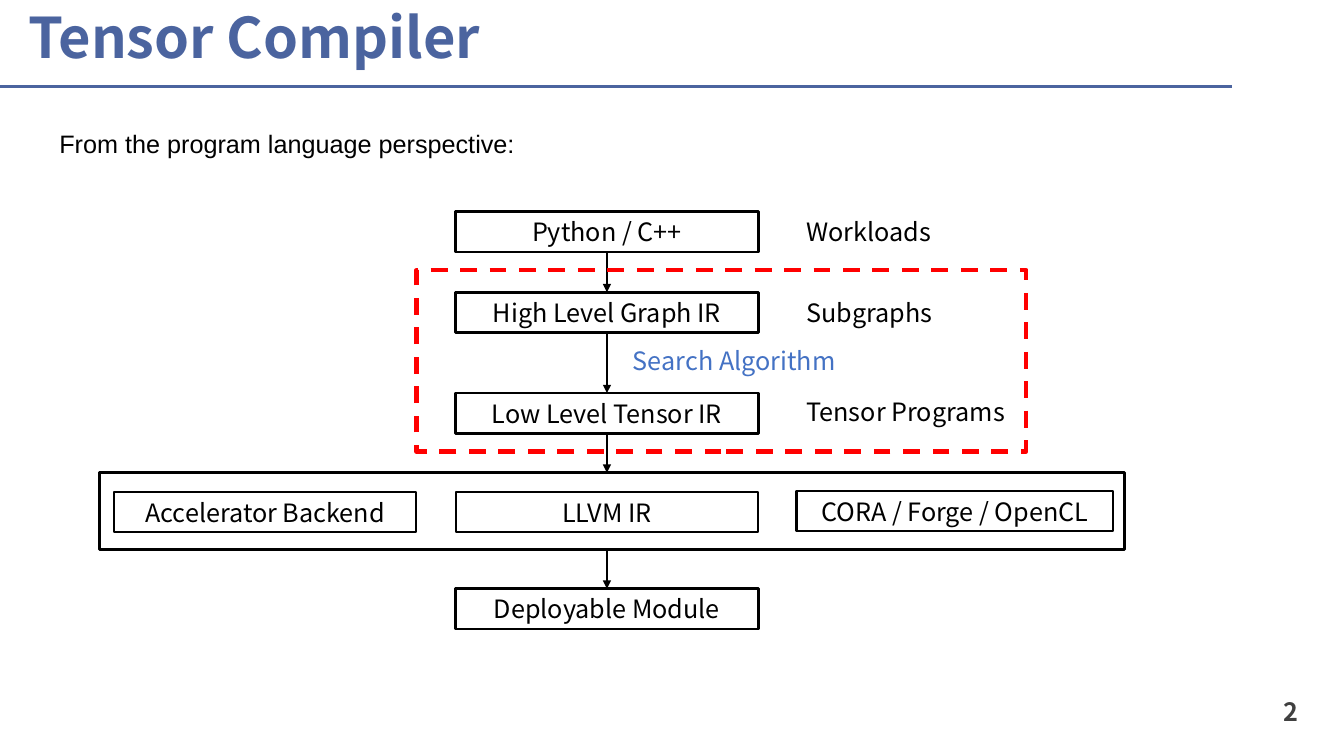
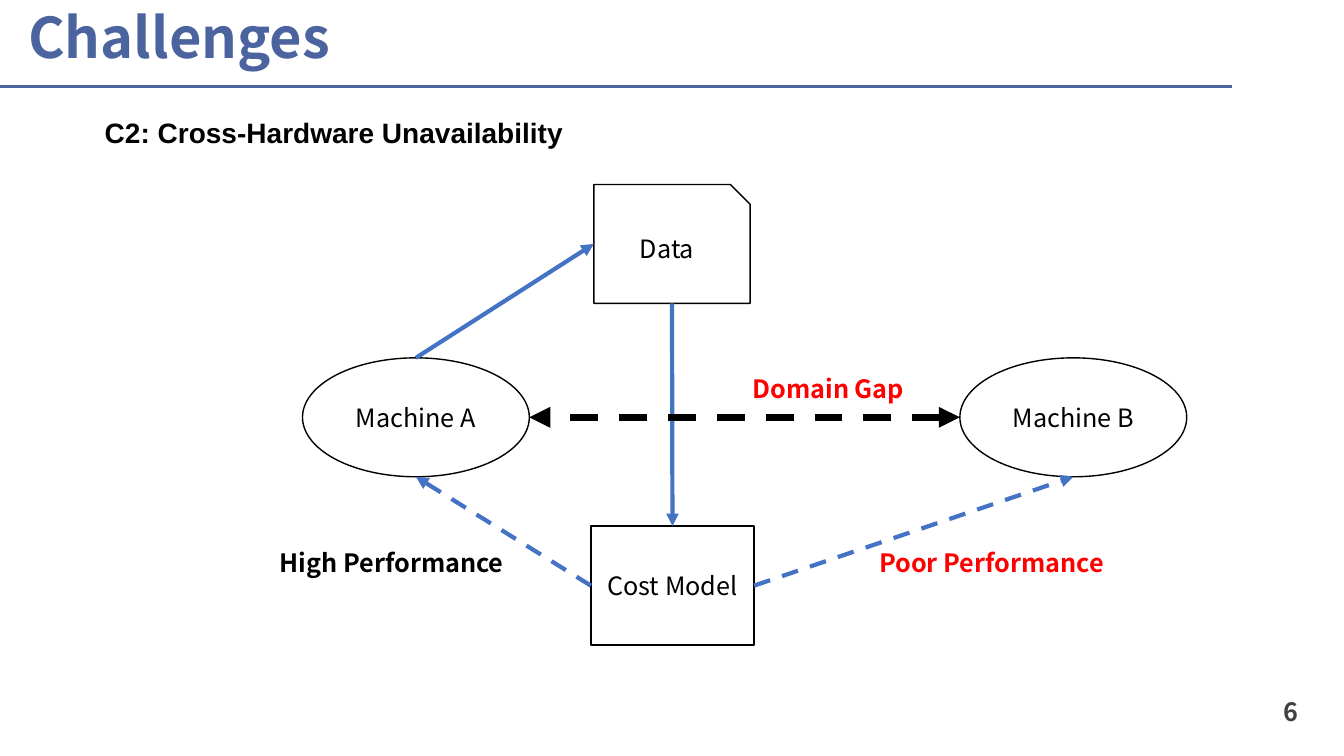
import pptx
import pptx.dml.color
import pptx.enum.dml
import pptx.enum.shapes
import pptx.enum.text
import pptx.oxml
import pptx.oxml.ns
import pptx.util

PX = 9144
SANS, ARIAL = "Noto Sans CJK SC", "Arial"
COLORS = {
    "title": "4B649F",
    "page": "404040",
    "black": "000000",
    "white": "FFFFFF",
    "blue": "4472C4",
    "red": "FF0000",
}
PRESET = pptx.enum.shapes.MSO_SHAPE
ALIGN = pptx.enum.text.PP_ALIGN
ANCHOR = pptx.enum.text.MSO_ANCHOR

STAGE_LEFT, STAGE_WIDTH, ROW_HEIGHT = 452, 300, 40
STAGES = [
    ("Python / C++", 210),
    ("High Level Graph IR", 290),
    ("Low Level Tensor IR", 390),
    ("Deployable Module", 584),
]
BACKENDS = [
    ("Accelerator Backend", (113, 488, 300, ROW_HEIGHT)),
    ("LLVM IR", (452, 488, 300, ROW_HEIGHT)),
    ("CORA / Forge / OpenCL", (790, 487, 314, ROW_HEIGHT)),
]
BACKEND_FRAME = (99, 469, 1016, 76)
SEARCH_FRAME = (413, 268, 605, 180)
STAGE_NOTES = [
    ("Workloads", (790, 210, 155, ROW_HEIGHT), "black"),
    ("Subgraphs", (790, 290, 155, ROW_HEIGHT), "black"),
    ("Tensor Programs", (790, 388, 228, ROW_HEIGHT), "black"),
    ("Search Algorithm", (618, 338, 486, ROW_HEIGHT), "blue"),
]

NODES = {
    "Machine A": (PRESET.OVAL, (300, 355, 225, 118)),
    "Data": (PRESET.SNIP_1_RECTANGLE, (589, 183, 155, 118)),
    "Cost Model": (PRESET.RECTANGLE, (586, 522, 162, 118)),
    "Machine B": (PRESET.OVAL, (952, 355, 225, 118)),
}
FLOWS = [
    ("Machine A", "top", "Data", "left", "blue", 3, False, False),
    ("Data", "bottom", "Cost Model", "top", "blue", 3, False, False),
    ("Cost Model", "left", "Machine A", "bottom", "blue", 3, True, False),
    ("Cost Model", "right", "Machine B", "bottom", "blue", 3, True, False),
    ("Machine B", "left", "Machine A", "right", "black", 5, True, True),
]
FLOW_NOTES = [
    ("Domain Gap", (721, 365, 201, 40), "red"),
    ("Poor Performance", (847, 538, 273, 40), "red"),
    ("High Performance", (252, 538, 273, 40), "black"),
]


def emu(lengths):
    return [pptx.util.Emu(length * PX) for length in lengths]


def rgb(name):
    return pptx.dml.color.RGBColor.from_string(COLORS[name])


def write(shape, text, size=18, color="black", font=SANS, bold=False,
          align=ALIGN.LEFT, anchor=ANCHOR.MIDDLE):
    frame = shape.text_frame
    frame.word_wrap = True
    frame.auto_size = pptx.enum.text.MSO_AUTO_SIZE.NONE
    frame.vertical_anchor = anchor
    frame.text = text
    paragraph = frame.paragraphs[0]
    paragraph.alignment = align
    paragraph.font.name = font
    paragraph.font.size = pptx.util.Pt(size)
    paragraph.font.bold = bold
    paragraph.font.color.rgb = rgb(color)
    return paragraph


def add_label(slide, text, box, **style):
    write(slide.shapes.add_textbox(*emu(box)), text, **style)


def style_line(line, color, width, dashed=False):
    line.color.rgb = rgb(color)
    line.width = pptx.util.Pt(width)
    if dashed:
        line.dash_style = pptx.enum.dml.MSO_LINE.DASH


def add_box(slide, box, width, text=None, preset=PRESET.RECTANGLE,
            color="black", dashed=False):
    shape = slide.shapes.add_shape(preset, *emu(box))
    shape.shadow.inherit = False
    style_line(shape.line, color, width, dashed)
    if text:
        shape.fill.solid()
        shape.fill.fore_color.rgb = rgb("white")
        write(shape, text, align=ALIGN.CENTER)
    else:
        shape.fill.background()


def add_line(slide, start, end, color, width, dashed=False, arrows=()):
    connector = slide.shapes.add_connector(
        pptx.enum.shapes.MSO_CONNECTOR.STRAIGHT, *emu(start + end))
    style_line(connector.line, color, width, dashed)
    properties = connector._element.spPr
    outline = properties.find(pptx.oxml.ns.qn("a:ln"))
    for arrow in arrows:
        outline.append(pptx.oxml.parse_xml(
            f'<a:{arrow} {pptx.oxml.ns.nsdecls("a")} type="triangle"/>'))
    properties.append(pptx.oxml.parse_xml(
        f'<a:effectLst {pptx.oxml.ns.nsdecls("a")}/>'))


def edge(box, side):
    left, top, width, height = box
    return {
        "top": (left + width / 2, top),
        "bottom": (left + width / 2, top + height),
        "left": (left, top + height / 2),
        "right": (left + width, top + height / 2),
    }[side]


def add_page(deck, title, number):
    slide = deck.slides.add_slide(deck.slide_layouts[5])
    add_line(slide, (0, 86), (1222, 86), "title", 2)
    add_label(slide, number, (1222, 686, 76, 40), color="page", bold=True,
              align=ALIGN.RIGHT)
    heading = slide.shapes.title
    heading.left, heading.top, heading.width, heading.height = emu((18, 0, 1117, 81))
    write(heading, title, size=40, color="title", bold=True).line_spacing = 0.9
    return slide


def build_compiler(deck):
    slide = add_page(deck, "Tensor Compiler", "2")
    add_label(slide, "From the program language perspective:",
              (49, 122, 499, 40), font=ARIAL, anchor=ANCHOR.TOP)
    stage_boxes = []
    for text, top in STAGES:
        box = (STAGE_LEFT, top, STAGE_WIDTH, ROW_HEIGHT)
        add_box(slide, box, 2, text)
        stage_boxes.append(box)
    for text, box in BACKENDS:
        add_box(slide, box, 1.5, text)
    add_box(slide, BACKEND_FRAME, 2)
    for text, box, color in STAGE_NOTES:
        add_label(slide, text, box, color=color)
    center = STAGE_LEFT + STAGE_WIDTH / 2
    levels = sorted(stage_boxes + [BACKEND_FRAME], key=lambda box: box[1])
    for upper, lower in zip(levels, levels[1:]):
        add_line(slide, (center, upper[1] + upper[3]), (center, lower[1]),
                 "black", 1.5, arrows=["tailEnd"])
    add_box(slide, SEARCH_FRAME, 3, color="red", dashed=True)


def build_challenges(deck):
    slide = add_page(deck, "Challenges", "6")
    add_label(slide, "C2: Cross-Hardware Unavailability", (94, 110, 511, 44),
              size=20, font=ARIAL, bold=True, anchor=ANCHOR.TOP)
    for text, (preset, box) in NODES.items():
        add_box(slide, box, 1, text, preset)
    for source, exit_side, target, entry_side, color, width, dashed, two_way in FLOWS:
        add_line(slide, edge(NODES[source][1], exit_side),
                 edge(NODES[target][1], entry_side), color, width, dashed,
                 ["headEnd", "tailEnd"] if two_way else ["tailEnd"])
    for text, box, color in FLOW_NOTES:
        add_label(slide, text, box, color=color, bold=True, align=ALIGN.CENTER)


def main():
    deck = pptx.Presentation()
    deck.slide_width, deck.slide_height = emu((1333, 750))
    build_compiler(deck)
    build_challenges(deck)
    deck.save("out.pptx")


if __name__ == "__main__":
    main()
